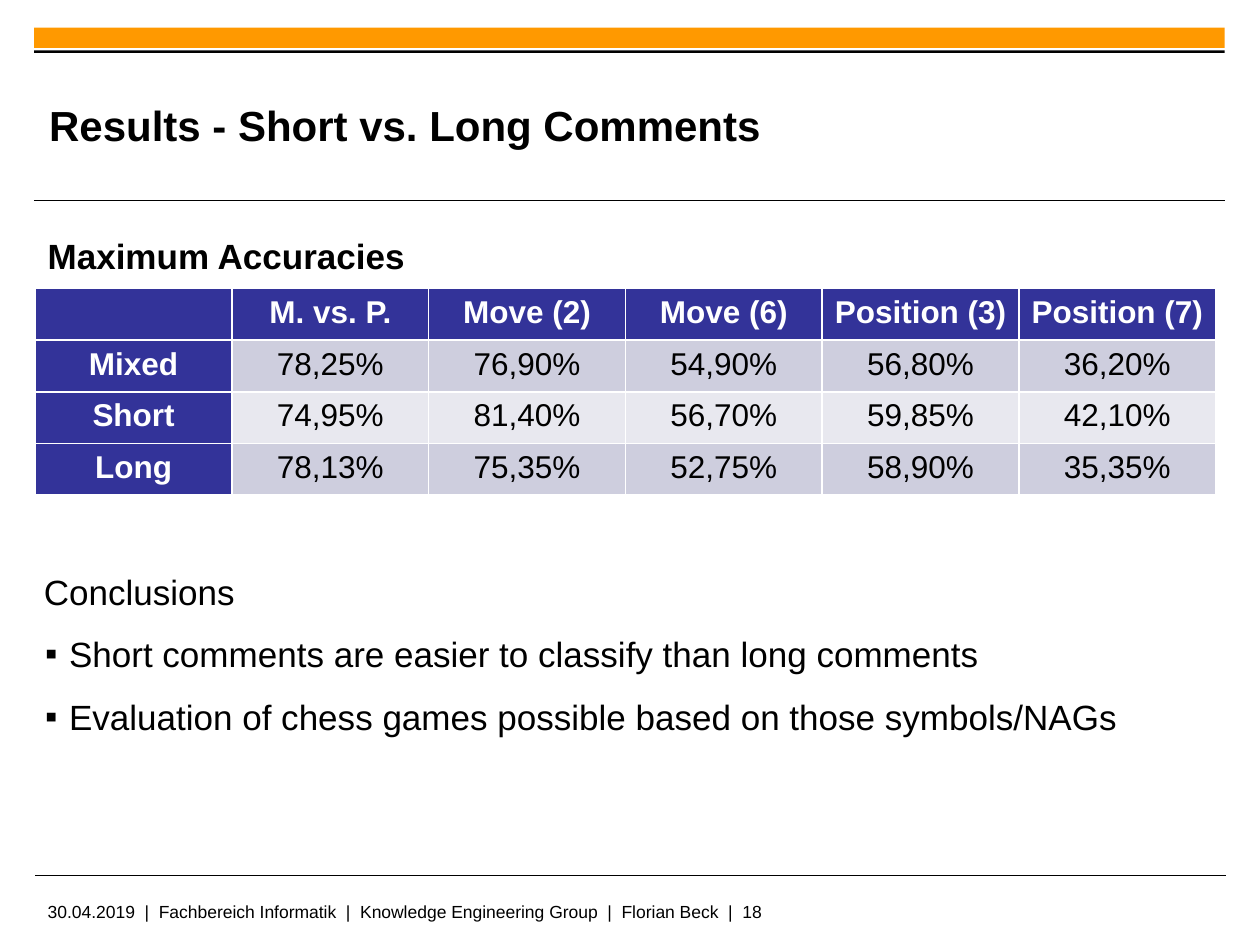
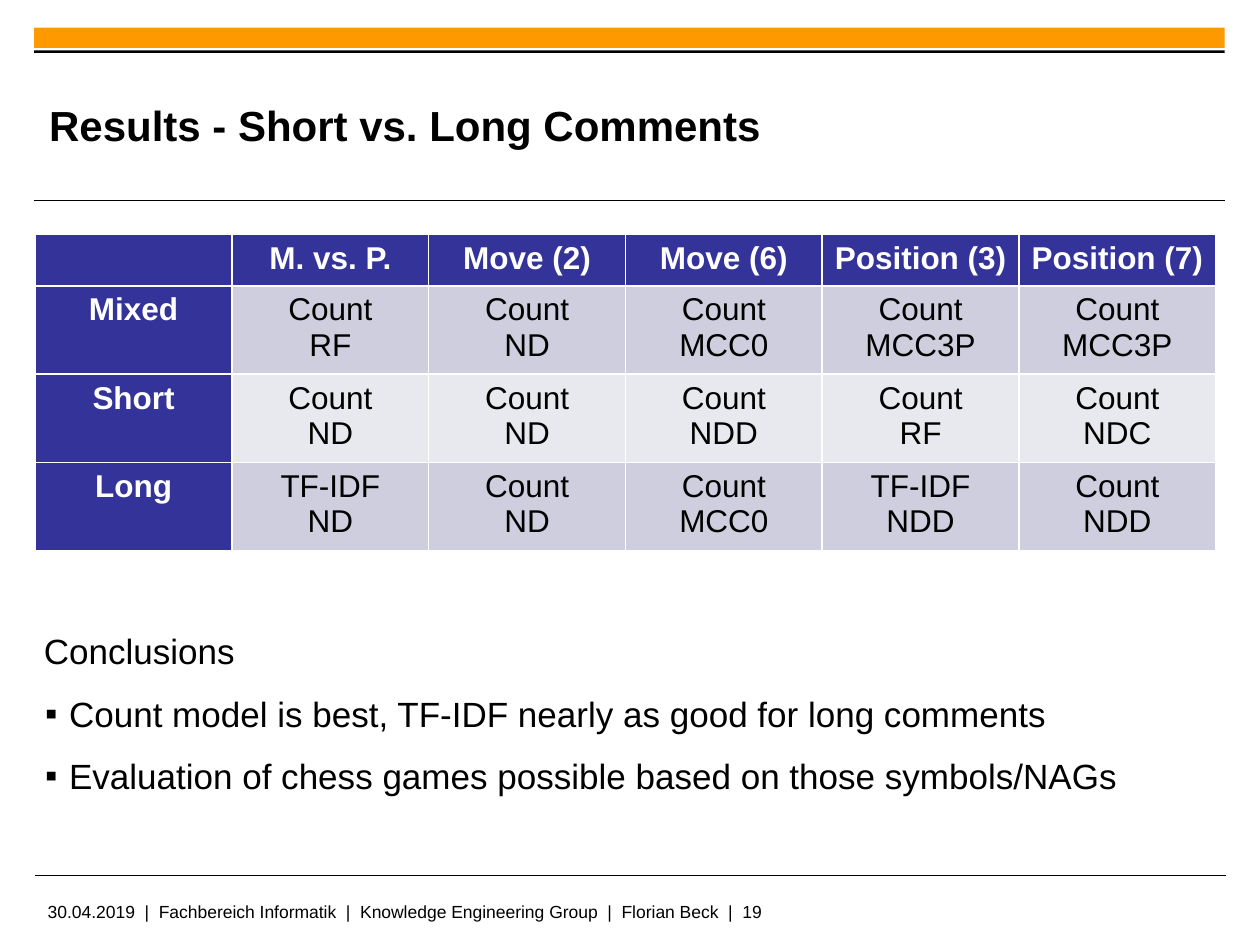
from dataclasses import dataclass

from lxml.etree import SubElement
from pptx import Presentation
from pptx.dml.color import RGBColor
from pptx.enum.shapes import MSO_CONNECTOR, MSO_SHAPE
from pptx.enum.text import MSO_ANCHOR, PP_ALIGN
from pptx.oxml.ns import qn
from pptx.slide import Slide
from pptx.text.text import TextFrame, _Paragraph
from pptx.util import Inches, Pt


@dataclass(frozen=True)
class Theme:
    font: str = "Arial"
    black: RGBColor = RGBColor(0x00, 0x00, 0x00)
    white: RGBColor = RGBColor(0xFF, 0xFF, 0xFF)
    orange: RGBColor = RGBColor(0xFF, 0x99, 0x00)
    header: RGBColor = RGBColor(0x33, 0x33, 0x99)
    bands: tuple[RGBColor, RGBColor] = (
        RGBColor(0xCE, 0xCE, 0xDE),
        RGBColor(0xE8, 0xE8, 0xEF),
    )
    title_size: int = 24
    body_size: int = 20
    table_size: int = 18
    footer_size: int = 10


@dataclass(frozen=True)
class Box:
    left: float
    top: float
    width: float
    height: float

    def lengths(self) -> tuple[Inches, Inches, Inches, Inches]:
        return Inches(self.left), Inches(self.top), Inches(self.width), Inches(self.height)


@dataclass(frozen=True)
class ResultSlide:
    number: int
    table_box: Box
    rows: dict[str, list[str]]
    conclusions_box: Box
    conclusions: list[str]
    table_heading: str = ""


THEME = Theme()
TITLE = "Results - Short vs. Long Comments"
FOOTER_PARTS = ["30.04.2019", "Fachbereich Informatik", "Knowledge Engineering Group", "Florian Beck"]
COLUMNS = ["", "M. vs. P.", "Move (2)", "Move (6)", "Position (3)", "Position (7)"]
ROW_HEIGHT = 0.41
CHESS_CONCLUSION = "Evaluation of chess games possible based on those symbols/NAGs"

RESULT_SLIDES = [
    ResultSlide(
        number=18,
        table_heading="Maximum Accuracies",
        table_box=Box(0.28, 2.29, 9.37, 1.62),
        rows={
            "Mixed": ["78,25%", "76,90%", "54,90%", "56,80%", "36,20%"],
            "Short": ["74,95%", "81,40%", "56,70%", "59,85%", "42,10%"],
            "Long": ["78,13%", "75,35%", "52,75%", "58,90%", "35,35%"],
        },
        conclusions_box=Box(0.25, 4.38, 9.4, 2.29),
        conclusions=["Short comments are easier to classify than long comments", CHESS_CONCLUSION],
    ),
    ResultSlide(
        number=19,
        table_box=Box(0.28, 1.86, 9.37, 2.51),
        rows={
            "Mixed": ["Count\nRF", "Count\nND", "Count\nMCC0", "Count\nMCC3P", "Count\nMCC3P"],
            "Short": ["Count\nND", "Count\nND", "Count\nNDD", "Count\nRF", "Count\nNDC"],
            "Long": ["TF-IDF\nND", "Count\nND", "Count\nMCC0", "TF-IDF\nNDD", "Count\nNDD"],
        },
        conclusions_box=Box(0.25, 4.85, 9.4, 1.82),
        conclusions=["Count model is best, TF-IDF nearly as good for long comments", CHESS_CONCLUSION],
    ),
]


def write(paragraph: _Paragraph, text: str, size: int, bold: bool = False,
          color: RGBColor = THEME.black) -> None:
    paragraph.text = text
    for run in paragraph.runs:
        run.font.name = THEME.font
        run.font.size = Pt(size)
        run.font.bold = bold
        run.font.color.rgb = color


def add_text_frame(slide: Slide, box: Box, wrap: bool = True) -> TextFrame:
    text_frame = slide.shapes.add_textbox(*box.lengths()).text_frame
    text_frame.word_wrap = wrap
    return text_frame


def add_bar(slide: Slide, box: Box, color: RGBColor) -> None:
    bar = slide.shapes.add_shape(MSO_SHAPE.RECTANGLE, *box.lengths())
    bar.shadow.inherit = False
    bar.fill.solid()
    bar.fill.fore_color.rgb = color
    bar.line.fill.background()


def add_rule(slide: Slide, left: float, top: float) -> None:
    rule = slide.shapes.add_connector(
        MSO_CONNECTOR.STRAIGHT, Inches(left), Inches(top), Inches(left + 9.45), Inches(top)
    )
    rule.line.color.rgb = THEME.black
    rule.line.width = Pt(0.6)
    SubElement(rule.element.spPr, qn("a:effectLst"))


def add_frame(slide: Slide, number: int) -> None:
    """Draw the bands, rules, footer and title that every slide shares."""
    add_bar(slide, Box(0.27, 0.22, 9.45, 0.16), THEME.orange)
    add_rule(slide, 0.27, 1.59)
    add_bar(slide, Box(0.27, 0.4, 9.45, 0.02), THEME.black)
    add_rule(slide, 0.28, 6.95)

    footer = add_text_frame(slide, Box(0.28, 7.1, 7.88, 0.25))
    # Non-breaking and plain spaces alternate around each divider
    write(footer.paragraphs[0], "  |  ".join([*FOOTER_PARTS, str(number)]), THEME.footer_size)

    title = add_text_frame(slide, Box(0.39, 0.53, 7.26, 0.92))
    title.margin_left = title.margin_top = title.margin_right = title.margin_bottom = 0
    title.vertical_anchor = MSO_ANCHOR.MIDDLE
    write(title.paragraphs[0], TITLE, THEME.title_size, bold=True)


def add_result_table(slide: Slide, box: Box, rows: dict[str, list[str]]) -> None:
    grid = [COLUMNS] + [[name, *values] for name, values in rows.items()]
    frame = slide.shapes.add_table(len(grid), len(COLUMNS), *box.lengths())
    table = frame.table
    table.first_col = True
    for row_index, texts in enumerate(grid):
        table.rows[row_index].height = Inches(ROW_HEIGHT)
        for column_index, text in enumerate(texts):
            is_header = row_index == 0 or column_index == 0
            cell = table.cell(row_index, column_index)
            cell.fill.solid()
            cell.fill.fore_color.rgb = THEME.header if is_header else THEME.bands[(row_index - 1) % 2]
            paragraph = cell.text_frame.paragraphs[0]
            paragraph.alignment = PP_ALIGN.CENTER
            if text:
                write(paragraph, text, THEME.table_size, is_header,
                      THEME.white if is_header else THEME.black)
    frame.height = Inches(box.height)


def set_bullet(paragraph: _Paragraph) -> None:
    properties = paragraph._p.get_or_add_pPr()
    properties.set("marL", str(Inches(0.2)))
    properties.set("indent", str(Inches(-0.19)))
    SubElement(properties, qn("a:buFont"), typeface=THEME.font)
    SubElement(properties, qn("a:buChar"), char="▪")


def add_conclusions(slide: Slide, box: Box, conclusions: list[str]) -> None:
    text_frame = add_text_frame(slide, box)
    for index, text in enumerate(["Conclusions", *conclusions]):
        paragraph = text_frame.add_paragraph() if index else text_frame.paragraphs[0]
        write(paragraph, text, THEME.body_size)
        paragraph.line_spacing = 1.3
        paragraph.space_before = Pt(2)
        paragraph.space_after = Pt(2.3)
        if index:
            set_bullet(paragraph)


def add_result_slide(presentation: Presentation, content: ResultSlide) -> None:
    slide = presentation.slides.add_slide(presentation.slide_layouts[6])
    add_frame(slide, content.number)
    add_result_table(slide, content.table_box, content.rows)
    if content.table_heading:
        heading = add_text_frame(slide, Box(0.28, 1.81, 3.06, 0.44), wrap=False)
        write(heading.paragraphs[0], content.table_heading, THEME.body_size, bold=True)
    add_conclusions(slide, content.conclusions_box, content.conclusions)


def main() -> None:
    presentation = Presentation()
    presentation.slide_width = Inches(10)
    presentation.slide_height = Inches(7.5)
    for content in RESULT_SLIDES:
        add_result_slide(presentation, content)
    presentation.save("out.pptx")


if __name__ == "__main__":
    main()
